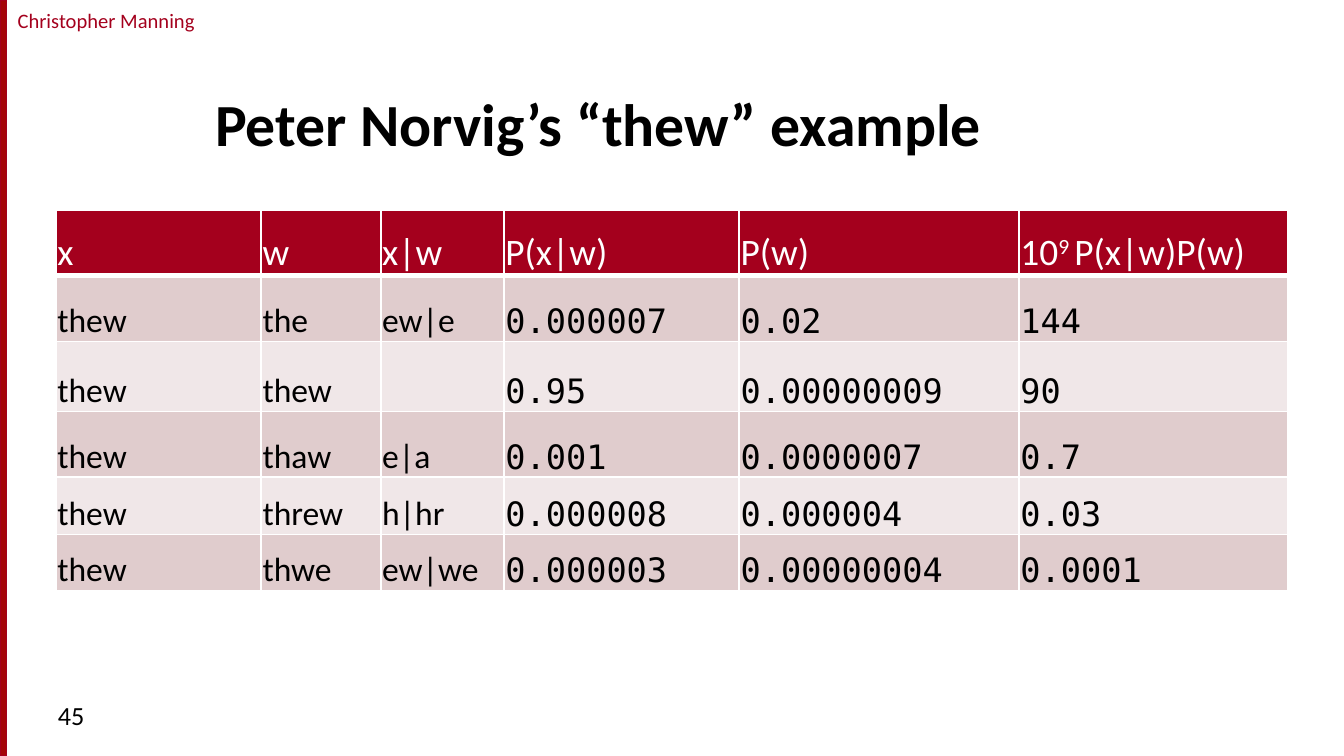
import dataclasses

import pptx
import pptx.dml.color
import pptx.enum.shapes
import pptx.enum.text
import pptx.oxml
import pptx.oxml.ns
import pptx.util

SANS, MONO = "Calibri", "DejaVu Sans Mono"
RED, BLACK, WHITE = "A4001D", "000000", "FFFFFF"
BANDS = ("E0CCCD", "F0E7E8")
ALIGN = pptx.enum.text.PP_ALIGN
ANCHOR = pptx.enum.text.MSO_ANCHOR

# Widescreen, 16:9
prs = pptx.Presentation()
prs.slide_width = pptx.util.Inches(10)
prs.slide_height = prs.slide_width * 9 // 16


@dataclasses.dataclass
class Box:
    """A frame in percent of the slide's width and height."""
    left: float
    top: float
    width: float
    height: float

    def emu(self) -> tuple:
        return across(self.left), down(self.top), across(self.width), down(self.height)


@dataclasses.dataclass
class Column:
    head: str
    width: float  # percent of the slide's width
    font: str = SANS


def across(share: float) -> int:
    return round(prs.slide_width * share / 100)


def down(share: float) -> int:
    return round(prs.slide_height * share / 100)


def rgb(color: str) -> pptx.dml.color.RGBColor:
    return pptx.dml.color.RGBColor.from_string(color)


def write(tf, text: str, *, size: float, color: str = BLACK, font: str = SANS,
          bold: bool = False, align=ALIGN.LEFT) -> None:
    """Write one paragraph; text between ^ marks is superscript."""
    p = tf.paragraphs[0]
    p.alignment = align
    for i, part in enumerate(text.split("^")):
        if not part:
            continue
        r = p.add_run()
        r.text = part
        r.font.size, r.font.name, r.font.bold = pptx.util.Pt(size), font, bold
        r.font.color.rgb = rgb(color)
        if i % 2:
            r.font._element.set("baseline", "30000")


def add_text(s, box: Box, text: str, margin: float = 0.1, **style) -> None:
    tf = s.shapes.add_textbox(*box.emu()).text_frame
    tf.word_wrap = True
    tf.margin_left = tf.margin_right = pptx.util.Inches(margin)
    write(tf, text, **style)


def set_borders(cell, top: float, bottom: float) -> None:
    tcPr = cell._tc.get_or_add_tcPr()
    for side, width in (("L", 1), ("R", 1), ("T", top), ("B", bottom)):
        tcPr.append(pptx.oxml.parse_xml(
            f'<a:ln{side} {pptx.oxml.ns.nsdecls("a")} w="{pptx.util.Pt(width)}">'
            f'<a:solidFill><a:srgbClr val="{WHITE}"/></a:solidFill></a:ln{side}>'))


def fill_cell(cell, text: str, fill: str, top: float = 1, bottom: float = 1, **style) -> None:
    set_borders(cell, top, bottom)
    cell.fill.solid()
    cell.fill.fore_color.rgb = rgb(fill)
    cell.vertical_anchor = ANCHOR.BOTTOM
    cell.margin_left = cell.margin_right = cell.margin_top = pptx.util.Inches(0.01)
    cell.margin_bottom = 0
    write(cell.text_frame, text, **style)


def add_table(s, left: float, top: float, columns: list, heights: list, rows: list) -> None:
    box = Box(left, top, sum(c.width for c in columns), sum(heights))
    table = s.shapes.add_table(len(heights), len(columns), *box.emu()).table
    for row, height in zip(table.rows, heights):
        row.height = down(height)
    for j, column in enumerate(columns):
        table.columns[j].width = across(column.width)
        fill_cell(table.cell(0, j), column.head, RED, bottom=3, size=20, color=WHITE)
        for i, values in enumerate(rows):
            fill_cell(table.cell(i + 1, j), values[j], BANDS[i % 2],
                      top=1 if i else 3, size=18, font=column.font)


s = prs.slides.add_slide(prs.slide_layouts[5])

# Author name and red edge
add_text(s, Box(0.8, 0.18, 14.2, 5.16), "Christopher Manning", margin=0,
         size=11, color=RED, align=ALIGN.CENTER)
edge = s.shapes.add_shape(pptx.enum.shapes.MSO_SHAPE.RECTANGLE, *Box(0, 0, 0.5, 100).emu())
edge.shadow.inherit = False
edge.fill.solid()
edge.fill.fore_color.rgb = rgb("A40508")
edge.line.color.rgb = rgb(RED)
edge.line.width = pptx.util.Pt(0.75)

# Title
title = s.shapes.title
title.left, title.top, title.width, title.height = Box(15, 7.41, 81.67, 14.44).emu()
title.text_frame.vertical_anchor = ANCHOR.BOTTOM
write(title.text_frame, "Peter Norvig’s “thew” example", size=32, bold=True)

# Slide number
add_text(s, Box(3.33, 91.6, 21.67, 6.76), "45", size=14)

# Candidate corrections and their probabilities
add_table(
    s, 4.17, 27.78,
    columns=[
        Column("x", 15.27),
        Column("w", 8.9),
        Column("x|w", 9.17),
        Column("P(x|w)", 17.5, MONO),
        Column("P(w)", 20.83, MONO),
        Column("10^9 ^P(x|w)P(w)", 20, MONO),
    ],
    heights=[8.7, 8.7, 9.25, 8.7, 7.6, 7.41],
    rows=[
        ("thew", "the", "ew|e", "0.000007", "0.02", "144"),
        ("thew", "thew", "", "0.95", "0.00000009", "90"),
        ("thew", "thaw", "e|a", "0.001", "0.0000007", "0.7"),
        ("thew", "threw", "h|hr", "0.000008", "0.000004", "0.03"),
        ("thew", "thwe", "ew|we", "0.000003", "0.00000004", "0.0001"),
    ],
)

prs.save("out.pptx")
